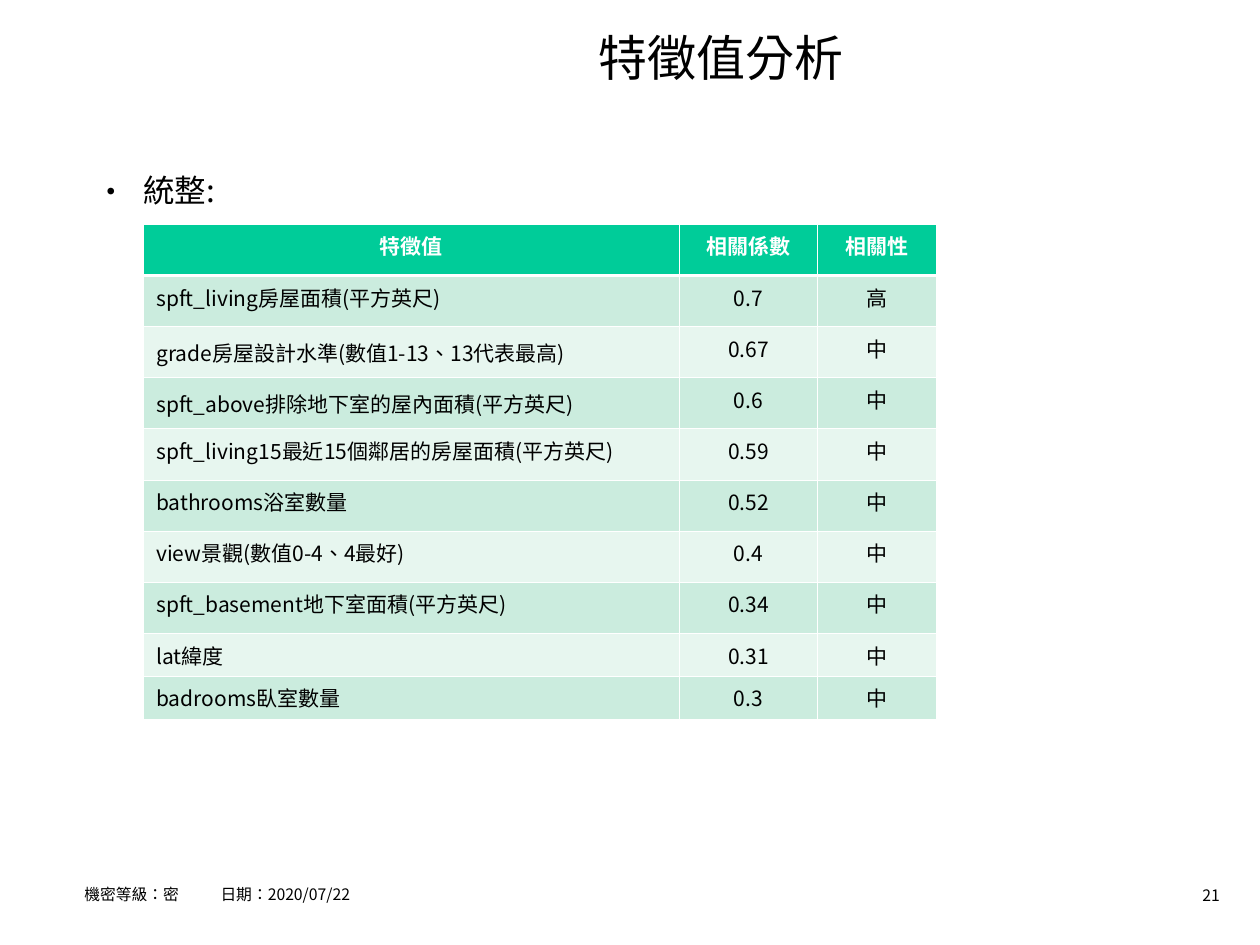
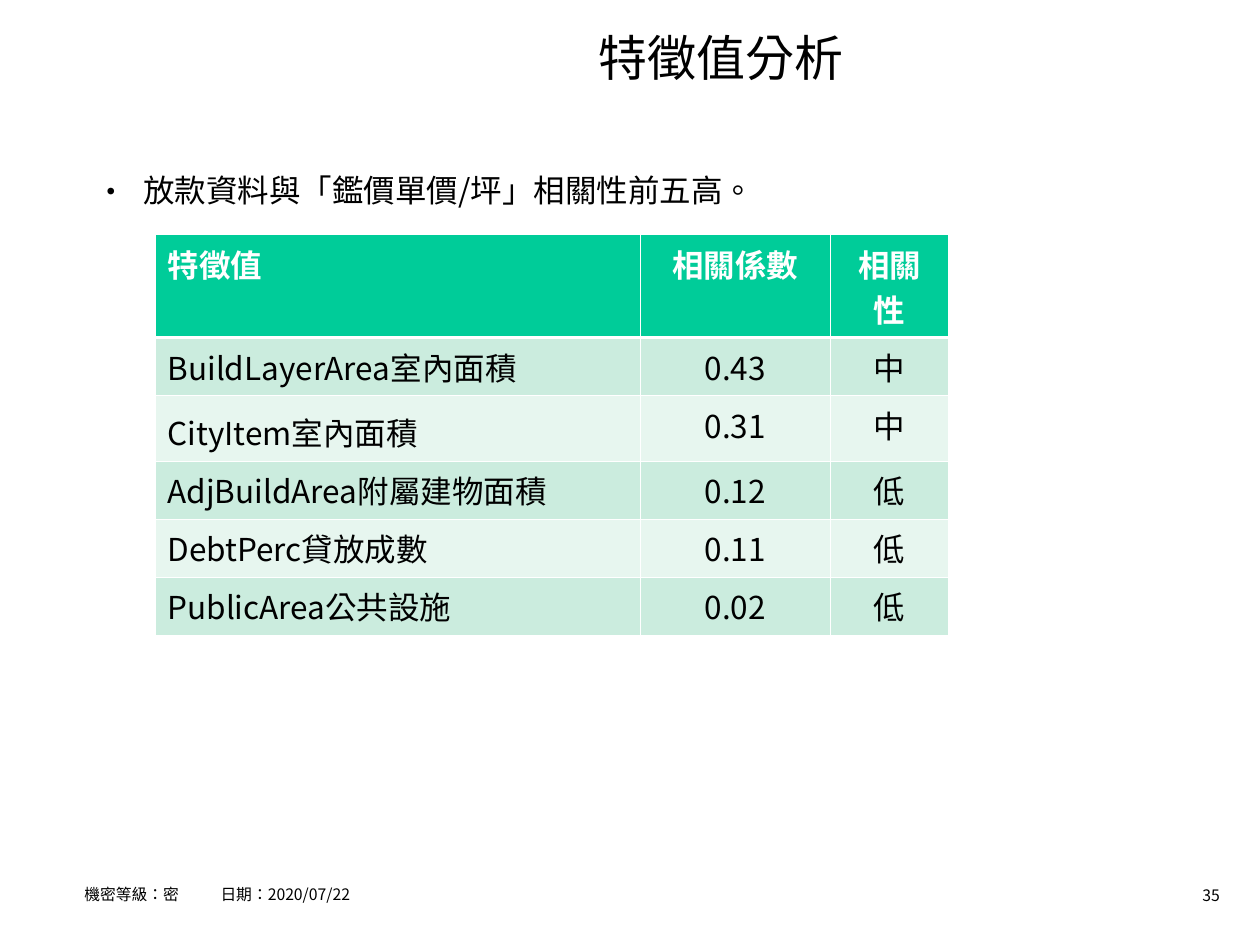
import dataclasses

import lxml.etree
import pptx
import pptx.dml.color
import pptx.enum.text
import pptx.oxml.ns
import pptx.util

Inches = pptx.util.Inches
Align = pptx.enum.text.PP_ALIGN


@dataclasses.dataclass(frozen=True)
class Theme:
    font: str = "Noto Sans CJK SC"
    language: str = "zh-TW"
    ink: str = "000000"
    white: str = "FFFFFF"
    header: str = "00CC99"
    bands: tuple = ("CBECDE", "E7F6EF")
    title_size: float = 28
    body_size: float = 18
    small_table_size: float = 12
    footer_size: float = 9
    thin_border: float = 0.45
    thick_border: float = 1.47


THEME = Theme()
TITLE = "特徵值分析"
FOOTER = "機密等級：密\t日期：2020/07/22"
HEADINGS = ("特徵值", "相關係數", "相關性")

SUMMARY_ROWS = [
    ("spft_living房屋面積(平方英尺)", "0.7", "高"),
    ("grade房屋設計水準(數值1-13、13代表最高)", "0.67", "中"),
    ("spft_above排除地下室的屋內面積(平方英尺)", "0.6", "中"),
    ("spft_living15最近15個鄰居的房屋面積(平方英尺)", "0.59", "中"),
    ("bathrooms浴室數量", "0.52", "中"),
    ("view景觀(數值0-4、4最好)", "0.4", "中"),
    ("spft_basement地下室面積(平方英尺)", "0.34", "中"),
    ("lat緯度", "0.31", "中"),
    ("badrooms臥室數量", "0.3", "中"),
]

LOAN_ROWS = [
    ("BuildLayerArea室內面積", "0.43", "中"),
    ("CityItem室內面積", "0.31", "中"),
    ("AdjBuildArea附屬建物面積", "0.12", "低"),
    ("DebtPerc貸放成數", "0.11", "低"),
    ("PublicArea公共設施", "0.02", "低"),
]


def add_element(parent, tag, **attributes):
    return lxml.etree.SubElement(parent, pptx.oxml.ns.qn(tag), attributes)


def rgb(color):
    return pptx.dml.color.RGBColor.from_string(color)


def format_text(para, size, color=THEME.ink, bold=False, align=Align.LEFT):
    para.alignment = align
    for span in para.runs:
        span.font.size = pptx.util.Pt(size)
        span.font.bold = bold
        span.font.color.rgb = rgb(color)
        span.font.name = THEME.font
        properties = span._r.get_or_add_rPr()
        properties.set("lang", THEME.language)
        add_element(properties, "a:ea", typeface=THEME.font)


def add_text(page, text, left, top, width, height, size, align=Align.LEFT):
    box = page.shapes.add_textbox(*map(Inches, (left, top, width, height)))
    box.text_frame.word_wrap = True
    box.text_frame.text = text
    para = box.text_frame.paragraphs[0]
    format_text(para, size, align=align)
    return box, para


def add_bullet(page, text):
    box, para = add_text(page, text, 0.66, 1.31, 8.74, 5.59, THEME.body_size)
    properties = para._p.get_or_add_pPr()
    properties.set("marL", str(Inches(0.38)))
    properties.set("indent", str(-Inches(0.38)))
    add_element(properties, "a:buFont", typeface=THEME.font)
    add_element(properties, "a:buChar", char="•")


def add_footer(page, number):
    box, para = add_text(page, FOOTER, 0.67, 6.9, 7.42, 0.31, THEME.footer_size)
    box.text_frame.margin_left = 0
    para.line_spacing = 1.5
    tabs = add_element(para._p.get_or_add_pPr(), "a:tabLst")
    add_element(tabs, "a:tab", pos=str(Inches(1.08)), algn="l")
    add_text(page, str(number), 9.1, 6.98, 0.68, 0.25, THEME.footer_size, Align.RIGHT)


def add_page(deck, bullet, number):
    page = deck.slides.add_slide(deck.slide_layouts[6])
    add_text(page, TITLE, 2.31, 0.17, 6.83, 0.59, THEME.title_size, Align.CENTER)
    add_bullet(page, bullet)
    add_footer(page, number)
    return page


def set_borders(cell, row_index):
    thick_side = {0: "B", 1: "T"}.get(row_index)
    properties = cell._tc.get_or_add_tcPr()
    for side in "LRTB":
        points = THEME.thick_border if side == thick_side else THEME.thin_border
        line = add_element(properties, f"a:ln{side}", w=str(pptx.util.Pt(points)))
        add_element(add_element(line, "a:solidFill"), "a:srgbClr", val=THEME.white)


def add_feature_table(page, left, top, widths, heights, rows, size,
                      first_heading_align, loose_rows):
    frame = page.shapes.add_table(
        len(rows) + 1, len(widths),
        *map(Inches, (left, top, sum(widths), sum(heights))))
    table = frame.table
    for column, width in zip(table.columns, widths):
        column.width = Inches(width)
    for row, height in zip(table.rows, heights):
        row.height = Inches(height)
    for row_index, values in enumerate([HEADINGS, *rows]):
        is_header = row_index == 0
        fill = THEME.header if is_header else THEME.bands[(row_index - 1) % 2]
        color = THEME.white if is_header else THEME.ink
        first_align = first_heading_align if is_header else Align.LEFT
        for column_index, value in enumerate(values):
            cell = table.cell(row_index, column_index)
            set_borders(cell, row_index)
            cell.fill.solid()
            cell.fill.fore_color.rgb = rgb(fill)
            cell.text_frame.text = value
            para = cell.text_frame.paragraphs[0]
            align = Align.CENTER if column_index else first_align
            format_text(para, size, color, is_header, align)
            if column_index == 0 and row_index in loose_rows:
                para.line_spacing = 1.15


def main():
    deck = pptx.Presentation()
    deck.slide_width = Inches(10)
    deck.slide_height = Inches(7.5)

    summary_page = add_page(deck, "統整:", 21)
    add_feature_table(
        summary_page, 1.14, 1.78, (4.25, 1.1, 0.94),
        [3.25 / 8] * 8 + [0.34] * 2, SUMMARY_ROWS,
        THEME.small_table_size, Align.CENTER, loose_rows=(2, 3))

    loan_page = add_page(deck, "放款資料與「鑑價單價/坪」相關性前五高。", 35)
    add_feature_table(
        loan_page, 1.23, 1.86, (3.85, 1.51, 0.94),
        [0.82, 0.46, 0.52] + [0.46] * 3, LOAN_ROWS,
        THEME.body_size, Align.LEFT, loose_rows=(2,))

    deck.save("out.pptx")


if __name__ == "__main__":
    main()
